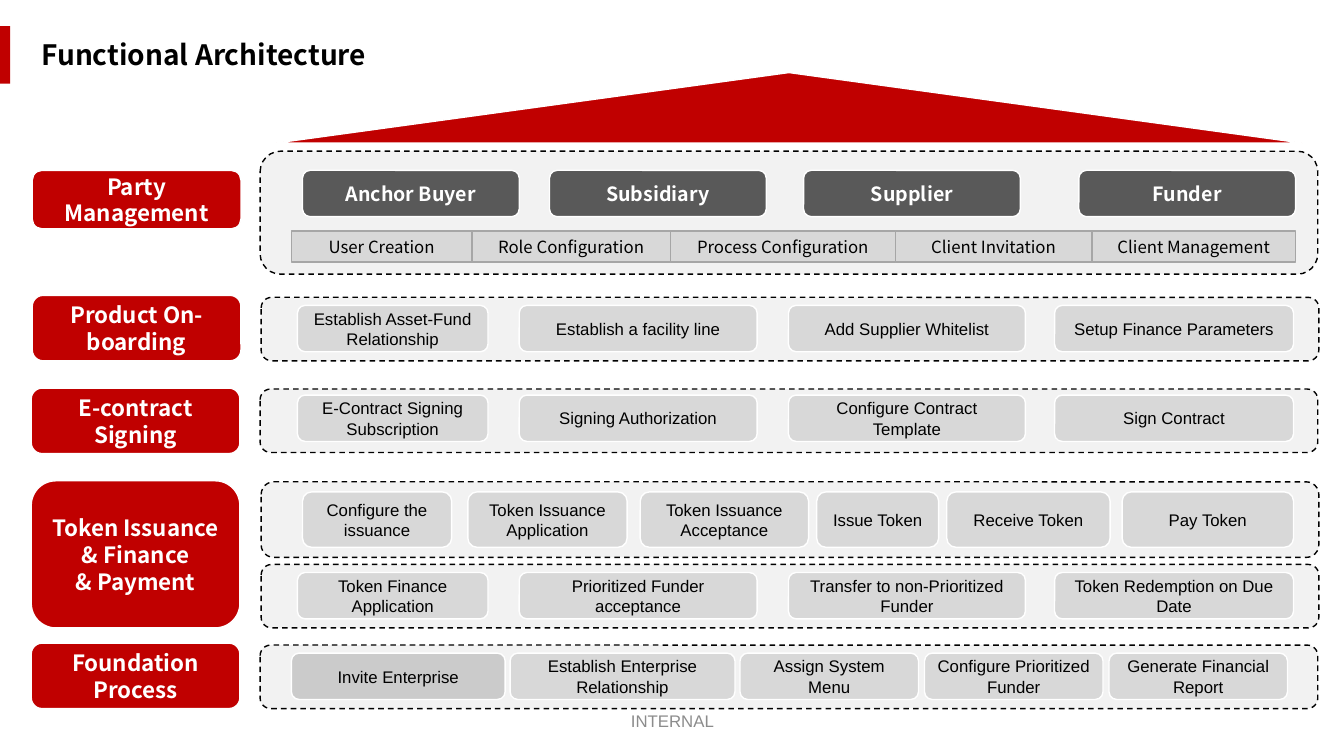
"""Build the Functional Architecture slide."""
from dataclasses import dataclass
from itertools import accumulate

from pptx import Presentation
from pptx.dml.color import RGBColor
from pptx.enum.dml import MSO_LINE
from pptx.enum.shapes import MSO_SHAPE
from pptx.enum.text import MSO_ANCHOR, PP_ALIGN
from pptx.oxml.xmlchemy import OxmlElement
from pptx.util import Inches, Pt


@dataclass(frozen=True)
class Theme:
    red: str = "C00000"
    panel: str = "F2F2F2"
    party: str = "595959"
    chip: str = "BFBFBF"
    edge: str = "A6A6A6"
    white: str = "FFFFFF"
    black: str = "000000"
    footer: str = "8C8C8C"
    heading: str = "Noto Sans CJK SC"
    body: str = "Arial"
    title_size: int = 20
    label_size: int = 16
    party_size: int = 14
    text_size: int = 12


THEME = Theme()
TITLE = "Functional Architecture"
FOOTER = "INTERNAL"
LABELS = [
    ("Party Management", 0.32, 1.69, 0.58),
    ("Product On-boarding", 0.32, 2.93, 0.65),
    ("E-contract Signing", 0.31, 3.85, 0.65),
    ("Token Issuance\n& Finance\n& Payment", 0.31, 4.77, 1.46),
    ("Foundation Process", 0.31, 6.38, 0.65),
]
LABEL_W = 2.07
PANEL_W = 10.49
PARTY_PANEL = (2.58, 1.5, PANEL_W, 1.22)
PARTIES = [("Anchor Buyer", 3), ("Subsidiary", 5.45), ("Supplier", 7.97), ("Funder", 10.7)]
FUNCTIONS = [
    ("User Creation", 1.79),
    ("Role Configuration", 1.97),
    ("Process Configuration", 2.23),
    ("Client Invitation", 1.95),
    ("Client Management", 2.02),
]
FUNCTIONS_LEFT = 2.89
FOUR = [(2.95, 1.89), (5.15, 2.36), (7.82, 2.35), (10.46, 2.37)]
FIVE = [(2.89, 2.12), (5.06, 2.23), (7.34, 1.77), (9.17, 1.77), (11, 1.77)]
SIX = [(3, 1.48), (4.64, 1.58), (6.35, 1.67), (8.1, 1.21), (9.39, 1.62), (11.13, 1.7)]
ROWS = [
    ((2.59, 2.95, PANEL_W, 0.63), 3.03, 0.46, FOUR,
     ["Establish Asset-Fund Relationship", "Establish a facility line",
      "Add Supplier Whitelist", "Setup Finance Parameters"]),
    ((2.58, 3.86, PANEL_W, 0.63), 3.92, 0.46, FOUR,
     ["E-Contract Signing Subscription", "Signing Authorization",
      "Configure Contract Template", "Sign Contract"]),
    ((2.59, 4.78, PANEL_W, 0.75), 4.88, 0.55, SIX,
     ["Configure the issuance", "Token Issuance Application", "Token Issuance Acceptance",
      "Issue Token", "Receive Token", "Pay Token"]),
    ((2.59, 5.6, PANEL_W, 0.63), 5.68, 0.46, FOUR,
     ["Token Finance Application", "Prioritized Funder acceptance",
      "Transfer to non-Prioritized Funder", "Token Redemption on Due Date"]),
    ((2.58, 6.4, PANEL_W, 0.63), 6.48, 0.46, FIVE,
     ["Invite Enterprise", "Establish Enterprise Relationship", "Assign System Menu",
      "Configure Prioritized Funder", "Generate Financial Report"]),
]
OPACITY = {"Invite Enterprise": 75}


def write(sp, content, size, color, font, bold=False, align=PP_ALIGN.CENTER,
          anchor=MSO_ANCHOR.MIDDLE):
    tf = sp.text_frame
    tf.text = content
    tf.word_wrap = True
    tf.vertical_anchor = anchor
    for p in tf.paragraphs:
        p.alignment = align
        for r in p.runs:
            r.font.size = Pt(size)
            r.font.name = font
            r.font.bold = bold
            r.font.color.rgb = RGBColor.from_string(color)


def add_box(s, kind, box, fill, line=None, dash=False, opacity=100):
    sp = s.shapes.add_shape(kind, *map(Inches, box))
    sp.shadow.inherit = False
    sp.fill.solid()
    sp.fill.fore_color.rgb = RGBColor.from_string(fill)
    if opacity < 100:
        alpha = OxmlElement("a:alpha")
        alpha.set("val", str(opacity * 1000))
        sp.fill._xPr.find(".//{*}srgbClr").append(alpha)
    if line:
        sp.line.color.rgb = RGBColor.from_string(line)
        sp.line.width = Pt(1)
        if dash:
            sp.line.dash_style = MSO_LINE.DASH
    else:
        sp.line.fill.background()
    return sp


def add_panel(s, box):
    add_box(s, MSO_SHAPE.ROUNDED_RECTANGLE, box, THEME.panel, THEME.black, dash=True)


def add_title(s):
    title = s.shapes.title
    title.left, title.top, title.width, title.height = map(Inches, (0.31, 0.32, 7.13, 0.44))
    write(title, TITLE, THEME.title_size, THEME.black, THEME.heading, True,
          PP_ALIGN.LEFT, MSO_ANCHOR.TOP)
    add_box(s, MSO_SHAPE.RECTANGLE, (0, 0.26, 0.1, 0.57), THEME.red)


def add_labels(s):
    for name, left, top, height in LABELS:
        sp = add_box(s, MSO_SHAPE.ROUNDED_RECTANGLE, (left, top, LABEL_W, height),
                     THEME.red, THEME.white)
        write(sp, name, THEME.label_size, THEME.white, THEME.heading, True)


def add_parties(s):
    add_panel(s, PARTY_PANEL)
    for name, left in PARTIES:
        sp = add_box(s, MSO_SHAPE.ROUNDED_RECTANGLE, (left, 1.69, 2.15, 0.46),
                     THEME.party, THEME.white)
        write(sp, name, THEME.party_size, THEME.white, THEME.heading, True)
    lefts = accumulate((width for _, width in FUNCTIONS), initial=FUNCTIONS_LEFT)
    for (name, width), left in zip(FUNCTIONS, lefts):
        sp = add_box(s, MSO_SHAPE.RECTANGLE, (left, 2.29, width, 0.31),
                     THEME.chip, THEME.edge, opacity=50)
        write(sp, name, THEME.text_size, THEME.black, THEME.heading)


def add_rows(s):
    for panel, top, height, columns, names in ROWS:
        add_panel(s, panel)
        for name, (left, width) in zip(names, columns):
            sp = add_box(s, MSO_SHAPE.ROUNDED_RECTANGLE, (left, top, width, height),
                         THEME.chip, THEME.white, opacity=OPACITY.get(name, 50))
            write(sp, name, THEME.text_size, THEME.black, THEME.body)


def main():
    prs = Presentation()
    prs.slide_width, prs.slide_height = Inches(13.33), Inches(7.5)
    s = prs.slides.add_slide(prs.slide_layouts[5])
    add_title(s)
    add_labels(s)
    add_parties(s)
    add_rows(s)
    add_box(s, MSO_SHAPE.ISOSCELES_TRIANGLE, (2.73, 0.72, 10.19, 0.7), THEME.red, THEME.white)
    footer = s.shapes.add_textbox(*map(Inches, (4.42, 6.95, 4.5, 0.4)))
    write(footer, FOOTER, THEME.text_size, THEME.footer, THEME.body)
    prs.save("out.pptx")


if __name__ == "__main__":
    main()
